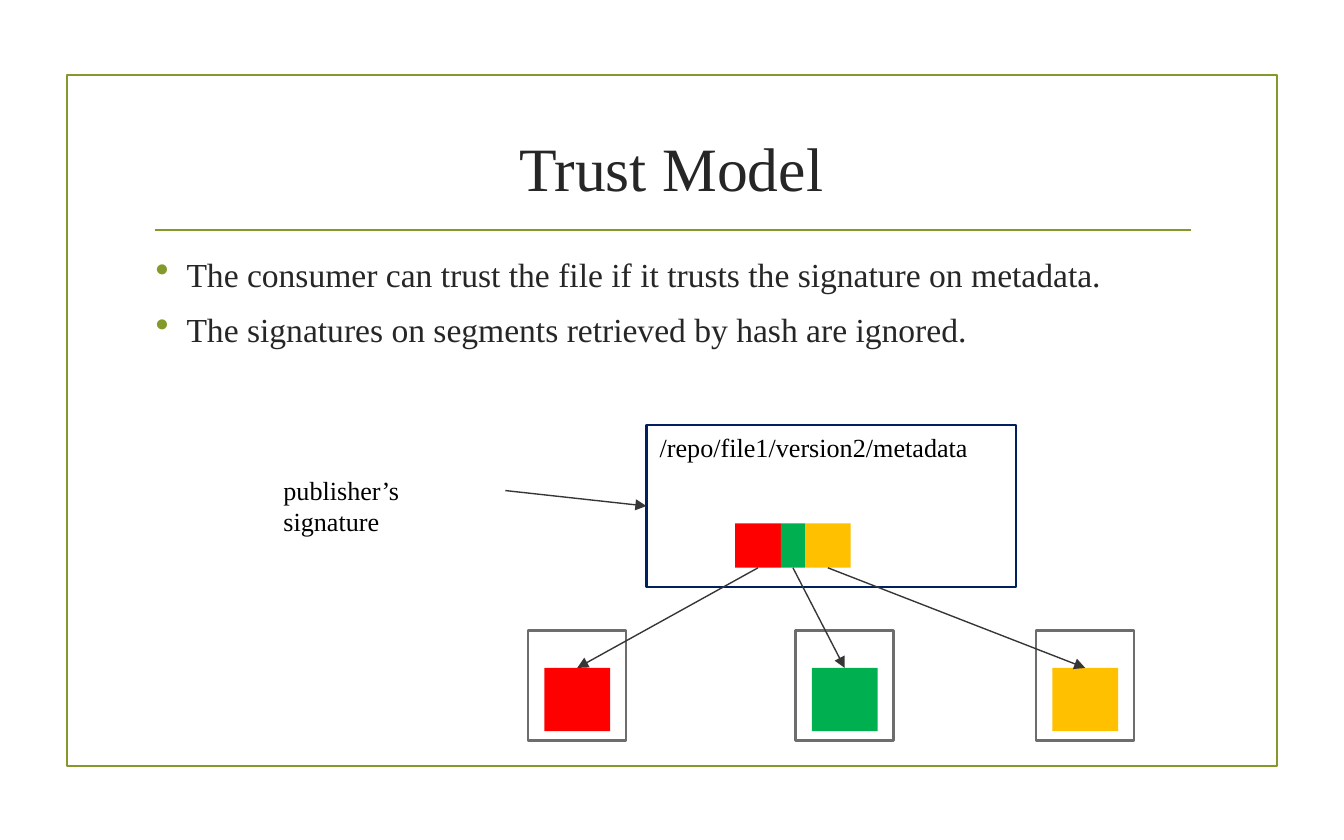
from collections import namedtuple

from lxml.etree import SubElement
from pptx import Presentation
from pptx.dml.color import RGBColor
from pptx.enum.shapes import MSO_CONNECTOR, MSO_SHAPE
from pptx.enum.text import MSO_ANCHOR, PP_ALIGN
from pptx.oxml.ns import qn
from pptx.util import Inches, Pt

Box = namedtuple("Box", "left top width height")
COLUMNS, ROWS = 100, 62.5
FONT = "Times New Roman"
GREEN, NAVY, GRAY, ARROW = "83992A", "002060", "6D6D6D", "363636"
DARK, BLACK = "262626", "000000"
SEGMENT_COLORS = ["FF0000", "00B050", "FFC000"]
SEGMENT_WIDTHS = [3.4, 1.8, 3.4]
CARD_LEFTS = [39.3, 59.2, 77.1]
BULLETS = [
    "The consumer can trust the file if it trusts the signature on metadata.",
    "The signatures on segments retrieved by hash are ignored.",
]


def grid(*cells):
    """Convert grid cells, a tenth of an inch each, to lengths."""
    return [Inches(cell / 10) for cell in cells]


def color(hex_string):
    """Turn a hex string into a colour."""
    return RGBColor.from_string(hex_string)


def inside(box, left, top, width, height):
    """Return a box placed relative to the corner of another."""
    return Box(box.left + left, box.top + top, width, height)


def add_rectangle(slide, box, fill=None, line=None):
    """Add a rectangle that has a fill, an outline or both."""
    shape = slide.shapes.add_shape(MSO_SHAPE.RECTANGLE, *grid(*box))
    shape.shadow.inherit = False
    if fill:
        shape.fill.solid()
        shape.fill.fore_color.rgb = color(fill)
    else:
        shape.fill.background()
    if line:
        shape.line.color.rgb = color(line)
        shape.line.width = Pt(1.25)
    else:
        shape.line.fill.background()
    return shape


def add_line(slide, start, end, line, width, arrow=False):
    """Add a straight line, with an arrowhead at its end if asked."""
    connector = slide.shapes.add_connector(
        MSO_CONNECTOR.STRAIGHT, *grid(*start, *end))
    connector.line.color.rgb = color(line)
    connector.line.width = Pt(width)
    if arrow:
        SubElement(connector.line._get_or_add_ln(), qn("a:tailEnd"), type="triangle")
    SubElement(connector._element.spPr, qn("a:effectLst"))


def write(shape, text, size, text_color, anchor=MSO_ANCHOR.TOP, align=PP_ALIGN.LEFT):
    """Fill a shape with wrapped text and return its paragraphs."""
    frame = shape.text_frame
    frame.text = text
    frame.word_wrap = True
    frame.vertical_anchor = anchor
    for paragraph in frame.paragraphs:
        paragraph.alignment = align
        for run in paragraph.runs:
            run.font.name = FONT
            run.font.size = Pt(size)
            run.font.color.rgb = color(text_color)
    return frame.paragraphs


def add_title(slide, box):
    """Place the title with the rule below it."""
    shape = slide.shapes.add_textbox(*grid(*box))
    write(shape, "Trust Model", 33, DARK, MSO_ANCHOR.MIDDLE, PP_ALIGN.CENTER)
    rule = box.top + box.height + 1.3
    add_line(slide, (box.left + 0.9, rule), (box.left + box.width - 0.7, rule), GREEN, 1.25)


def add_bullets(slide, box):
    """Place the bulleted statements."""
    shape = slide.shapes.add_textbox(*grid(*box))
    for paragraph in write(shape, "\n".join(BULLETS), 18, DARK):
        paragraph.space_before = Pt(3.6)
        paragraph.space_after = Pt(4.5)
        properties = paragraph._p.get_or_add_pPr()
        properties.set("marL", str(Inches(0.23)))
        properties.set("indent", str(-Inches(0.23)))
        bullet_color = SubElement(properties, qn("a:buClr"))
        SubElement(bullet_color, qn("a:srgbClr"), val=GREEN)
        SubElement(properties, qn("a:buSzPct"), val="115000")
        SubElement(properties, qn("a:buChar"), char="•")


def add_metadata(slide, box):
    """Place the metadata box and return the bottom centre of each hash."""
    shape = add_rectangle(slide, box, line=NAVY)
    write(shape, "/repo/file1/version2/metadata", 14, BLACK)
    starts, left = [], 6.6
    for fill, width in zip(SEGMENT_COLORS, SEGMENT_WIDTHS):
        piece = inside(box, left, 7.35, width, 3.3)
        add_rectangle(slide, piece, fill=fill)
        starts.append((piece.left + width / 2, piece.top + piece.height))
        left += width
    return starts


def add_segment(slide, box, fill):
    """Place one segment card and return the top centre of its content."""
    content = inside(box, 1.2, 2.8, 4.9, 4.7)
    add_rectangle(slide, content, fill=fill)
    add_rectangle(slide, box, line=GRAY)
    return content.left + content.width / 2, content.top


def add_signature(slide, box, target):
    """Place the signature label and its arrow to the target."""
    shape = slide.shapes.add_textbox(*grid(*box))
    write(shape, "publisher’s signature", 14, BLACK)
    start = (box.left + box.width, box.top + box.height / 2)
    add_line(slide, start, target, ARROW, 0.75, arrow=True)


def add_diagram(slide, box):
    """Place the metadata, the segments and the arrows between them."""
    metadata = inside(box, 28, 0, 27.5, 12.1)
    starts = add_metadata(slide, metadata)
    ends = [add_segment(slide, Box(left, box.top + 15.3, 7.3, 8.2), fill)
            for left, fill in zip(CARD_LEFTS, SEGMENT_COLORS)]
    for start, end in zip(starts, ends):
        add_line(slide, start, end, ARROW, 0.75, arrow=True)
    target = (metadata.left, metadata.top + metadata.height / 2)
    add_signature(slide, inside(box, 0, 3.2, 17.5, 3.4), target)


def main():
    """Build the slide and save it."""
    presentation = Presentation()
    presentation.slide_width, presentation.slide_height = grid(COLUMNS, ROWS)
    slide = presentation.slides.add_slide(presentation.slide_layouts[6])
    add_rectangle(slide, Box(5, 5.6, COLUMNS - 10, 51.4), line=GREEN)
    add_title(slide, Box(10.6, 9, 78.7, 6.8))
    add_bullets(slide, Box(10.6, 18.4, 78.7, 10))
    add_diagram(slide, Box(20.1, 31.6, 64.3, 23.5))
    presentation.save("out.pptx")


if __name__ == "__main__":
    main()
